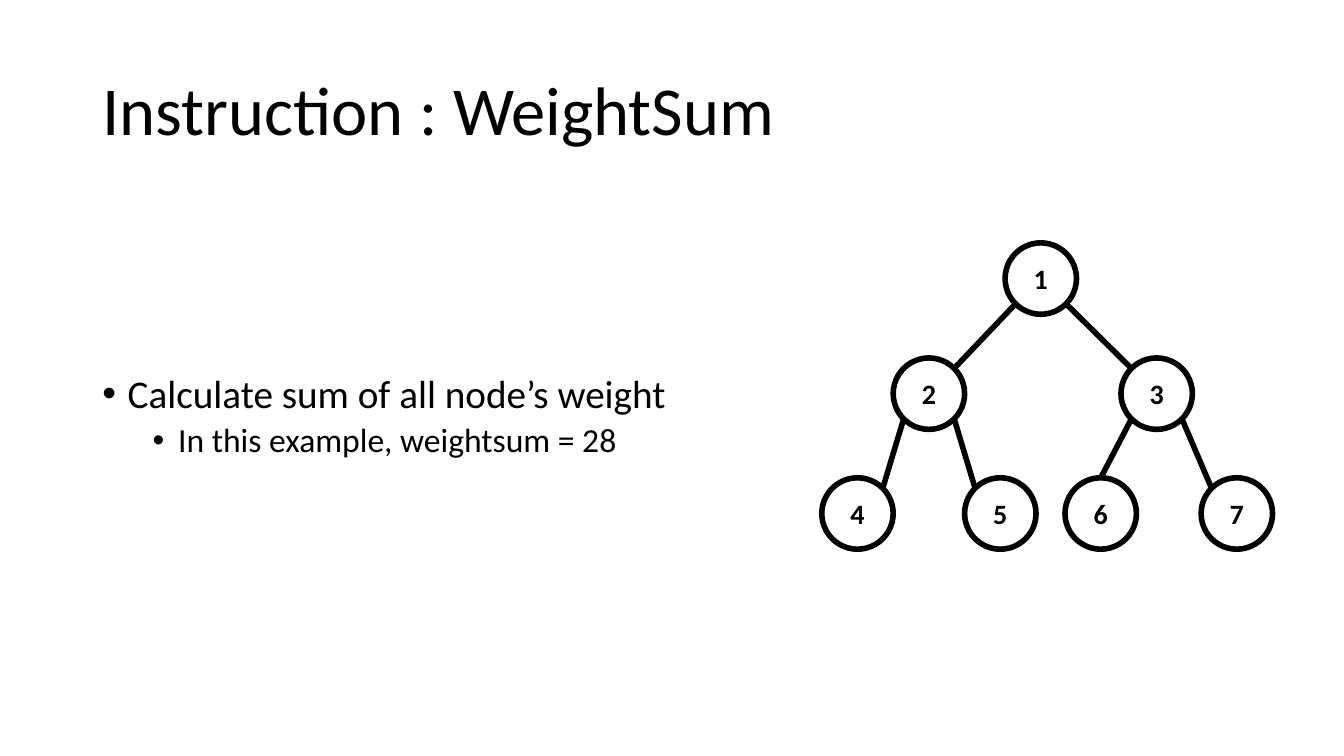
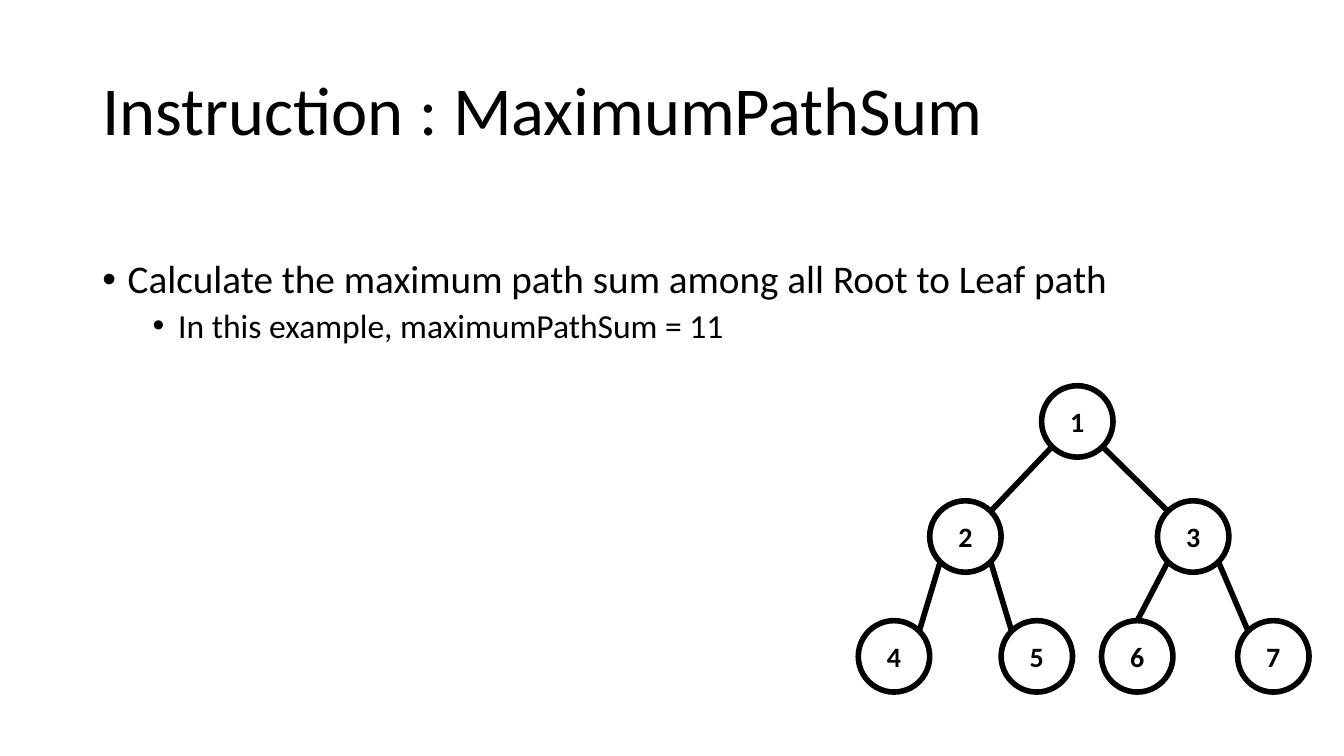
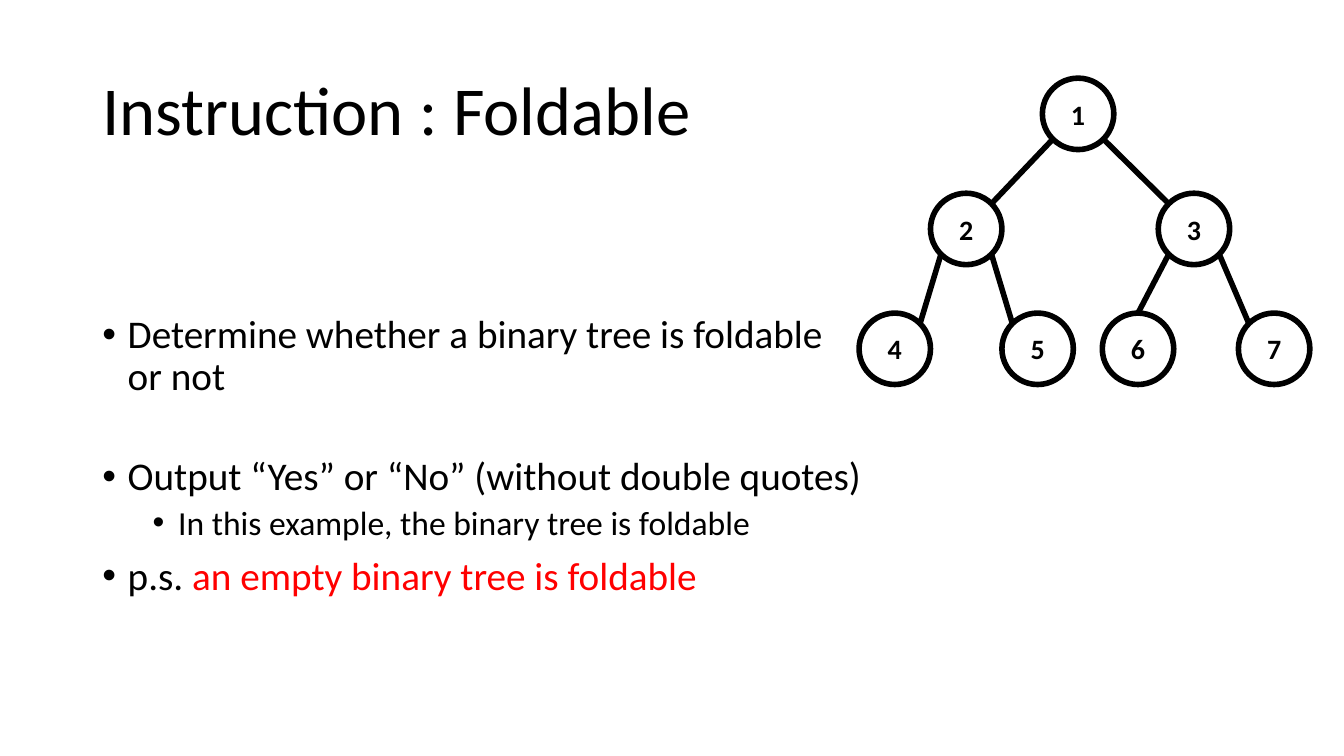
from math import sqrt

from lxml.etree import SubElement
from pptx import Presentation
from pptx.dml.color import RGBColor
from pptx.enum.shapes import MSO_CONNECTOR as Connector, MSO_SHAPE as Shape
from pptx.enum.text import MSO_ANCHOR as Anchor, PP_ALIGN as Align
from pptx.oxml.ns import qn
from pptx.util import Cm, Pt

COLORS = {"ink": "000000", "accent": "FF0000"}
FONT = "Calibri"
LEFT, WIDTH = 2.33, 29.21
BODY_TOP, BODY_BOTTOM = 4.98, 17.15
LINE_STEP = 1.44
LEVELS = [{"size": 28, "before": 10, "margin": 0.64},
          {"size": 24, "before": 5, "margin": 1.91}]
HANG = 0.64

DIAMETER = 1.8
NODES = {1: (4.62, 0), 2: (1.8, 2.9), 3: (7.54, 2.9),
         4: (0, 5.92), 5: (3.6, 5.92), 6: (6.13, 5.92), 7: (9.56, 5.92)}
DIAGONAL = 1 / sqrt(2)
LOWER_LEFT, LOWER_RIGHT = (-DIAGONAL, DIAGONAL), (DIAGONAL, DIAGONAL)
UPPER_LEFT, UPPER_RIGHT = (-DIAGONAL, -DIAGONAL), (DIAGONAL, -DIAGONAL)
TOP = (0, -1)
EDGES = [(1, LOWER_LEFT, 2, UPPER_RIGHT), (1, LOWER_RIGHT, 3, UPPER_LEFT),
         (2, LOWER_LEFT, 4, UPPER_RIGHT), (2, LOWER_RIGHT, 5, UPPER_LEFT),
         (3, LOWER_LEFT, 6, TOP), (3, LOWER_RIGHT, 7, UPPER_LEFT)]


def color(name):
    return RGBColor.from_string(COLORS[name])


class Deck:
    def __init__(self):
        self.prs = Presentation()
        self.prs.slide_width, self.prs.slide_height = Cm(33.87), Cm(19.05)
        self.slide = None

    def new_slide(self, heading):
        self.slide = self.prs.slides.add_slide(self.prs.slide_layouts[6])
        frame = self.frame(1.01, 3.68)
        frame.vertical_anchor = Anchor.MIDDLE
        title = frame.paragraphs[0]
        title.text = "Instruction : " + heading
        title.line_spacing = 0.9
        self.style(title, 49)

    def frame(self, top, height):
        box = self.slide.shapes.add_textbox(Cm(LEFT), Cm(top), Cm(WIDTH), Cm(height))
        box.text_frame.word_wrap = True
        return box.text_frame

    def style(self, paragraph, size, bold=False):
        font = paragraph.font
        font.name, font.size, font.bold = FONT, Pt(size), bold
        font.color.rgb = color("ink")

    def body(self, items, skipped_lines, top=BODY_TOP):
        frame = self.frame(top, BODY_BOTTOM - top)
        frame.margin_top = Cm(0.13 + LINE_STEP * skipped_lines)
        for index, (level, text, *extra) in enumerate(items):
            point = frame.add_paragraph() if index else frame.paragraphs[0]
            self.bullet(point, level, text, *extra)

    def bullet(self, point, level, text, accent="", gap=0):
        look = LEVELS[level]
        point.text = text
        point.level = level
        point.line_spacing = 0.9
        point.space_before = Pt(look["before"] + gap)
        props = point._p.get_or_add_pPr()
        props.set("marL", str(Cm(look["margin"])))
        props.set("indent", str(-Cm(HANG)))
        SubElement(props, qn("a:buFont")).set("typeface", "Arial")
        SubElement(props, qn("a:buChar")).set("char", "•")
        self.style(point, look["size"])
        if accent:
            run = point.add_run()
            run.text = accent
            run.font.color.rgb = color("accent")

    def tree(self, left, top):
        for label, (x, y) in NODES.items():
            self.node(label, left + x, top + y)
        radius = DIAMETER / 2
        for parent, start, child, end in EDGES:
            ends = []
            for label, (dx, dy) in ((parent, start), (child, end)):
                x, y = NODES[label]
                ends += [left + x + radius * (1 + dx), top + y + radius * (1 + dy)]
            self.edge(*ends)

    def node(self, label, left, top):
        circle = self.slide.shapes.add_shape(
            Shape.OVAL, Cm(left), Cm(top), Cm(DIAMETER), Cm(DIAMETER))
        circle.shadow.inherit = False
        circle.fill.background()
        self.outline(circle)
        frame = circle.text_frame
        frame.vertical_anchor = Anchor.MIDDLE
        frame.margin_left = frame.margin_right = 0
        number = frame.paragraphs[0]
        number.text = str(label)
        number.alignment = Align.CENTER
        self.style(number, 20, bold=True)

    def edge(self, *ends):
        link = self.slide.shapes.add_connector(Connector.STRAIGHT, *map(Cm, ends))
        self.outline(link)
        SubElement(link._element.spPr, qn("a:effectLst"))

    def outline(self, item):
        item.line.color.rgb = color("ink")
        item.line.width = Pt(4)


deck = Deck()

deck.new_slide("WeightSum")
deck.tree(20.71, 6.12)
deck.body([(0, "Calculate sum of all node’s weight"),
           (1, "In this example, weightsum = 28")], skipped_lines=3)

deck.new_slide("MaximumPathSum")
deck.tree(21.63, 9.72)
deck.body([(0, "Calculate the maximum path sum among all Root to Leaf path"),
           (1, "In this example, maximumPathSum = 11")], skipped_lines=1)

deck.new_slide("Foldable")
deck.body([(0, "Determine whether a binary tree is foldable \vor not"),
           (0, "Output “Yes” or “No” (without double quotes)", "", 31),
           (1, "In this example, the binary tree is foldable"),
           (0, "p.s. ", "an empty binary tree is foldable")],
          skipped_lines=3, top=3.48)
deck.tree(21.65, 1.97)

deck.prs.save("out.pptx")
